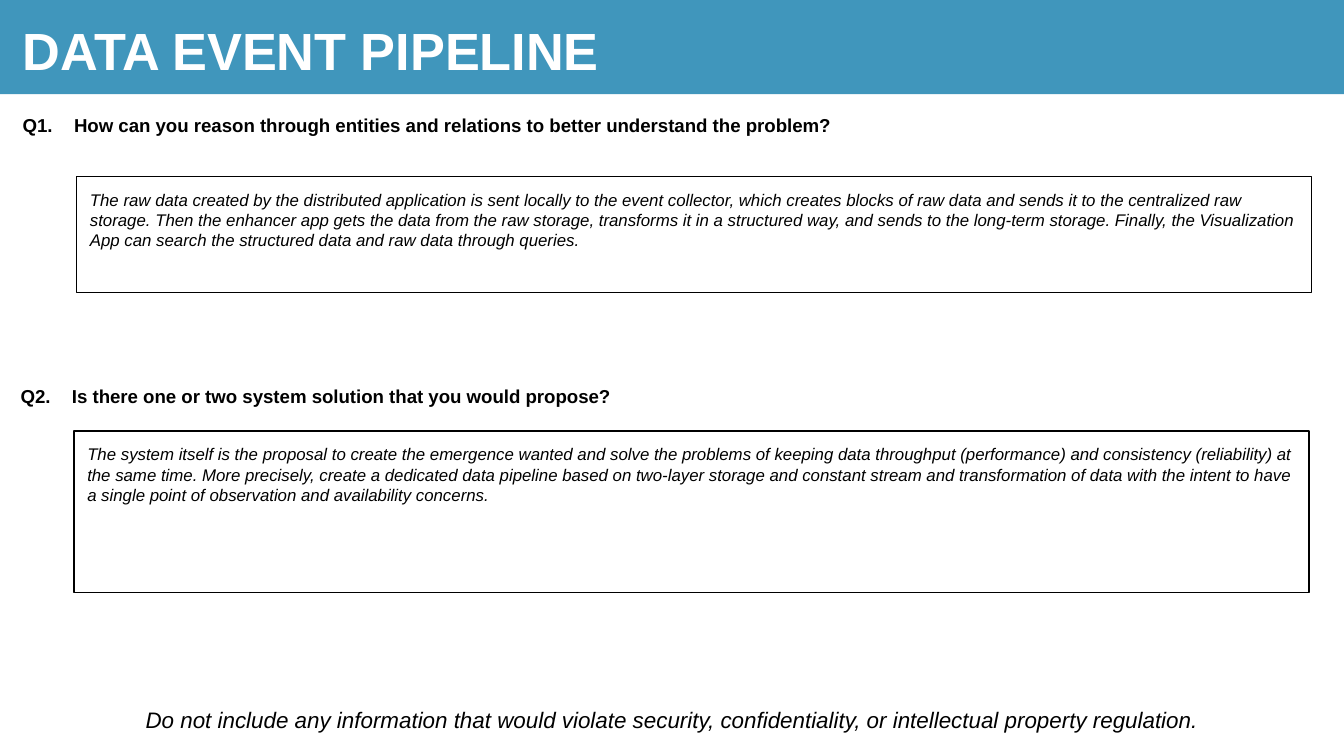
from dataclasses import dataclass

from lxml.etree import SubElement
from pptx import Presentation
from pptx.dml.color import RGBColor
from pptx.enum.shapes import MSO_SHAPE as Preset
from pptx.enum.text import MSO_ANCHOR as Anchor, PP_ALIGN as Align
from pptx.oxml.ns import qn
from pptx.shapes.autoshape import Shape
from pptx.slide import Slide
from pptx.text.text import TextFrame, _Paragraph as Paragraph
from pptx.util import Cm, Pt

BLACK = RGBColor(0x00, 0x00, 0x00)
WHITE = RGBColor(0xFF, 0xFF, 0xFF)
BLUE = RGBColor(0x01, 0x74, 0xA6)
FONT = "Arial"
INSET = Cm(0.25)
HANGING = Cm(0.97)


@dataclass(frozen=True)
class Area:
    """A rectangle in centimetres."""
    left: float
    top: float
    width: float
    height: float

    def lengths(self) -> tuple[Cm, Cm, Cm, Cm]:
        return Cm(self.left), Cm(self.top), Cm(self.width), Cm(self.height)


@dataclass(frozen=True)
class Question:
    number: str
    text: str
    answer: str
    area: Area
    answer_area: Area


QUESTIONS = (
    Question(
        "Q1.",
        "How can you reason through entities and relations to better understand the problem?",
        "The raw data created by the distributed application is sent locally to the event "
        "collector, which creates blocks of raw data and sends it to the centralized raw "
        "storage. Then the enhancer app gets the data from the raw storage, transforms it in "
        "a structured way, and sends to the long-term storage. Finally, the Visualization App "
        "can search the structured data and raw data through queries.",
        Area(0.18, 1.93, 24.51, 1.07),
        Area(1.45, 3.33, 23.34, 2.2),
    ),
    Question(
        "Q2.",
        "Is there one or two system solution that you would propose?",
        "The system itself is the proposal to create the emergence wanted and solve the "
        "problems of keeping data throughput (performance) and consistency (reliability) at "
        "the same time. More precisely, create a dedicated data pipeline based on two-layer "
        "storage and constant stream and transformation of data with the intent to have a "
        "single point of observation and availability concerns.",
        Area(0.14, 7.06, 24.51, 1.07),
        Area(1.4, 8.14, 23.34, 3.05),
    ),
)


def prepare_frame(frame: TextFrame, inset_y: Cm = INSET) -> Paragraph:
    """Set wrapping, insets and anchor, and return the first paragraph."""
    frame.word_wrap = True
    frame.vertical_anchor = Anchor.TOP
    frame.margin_left = frame.margin_right = INSET
    frame.margin_top = frame.margin_bottom = inset_y
    para = frame.paragraphs[0]
    para.alignment = Align.LEFT
    return para


def add_span(para: Paragraph, text: str, size: float, color: RGBColor = BLACK,
             bold: bool = False, italic: bool = False) -> None:
    span = para.add_run()
    span.text = text
    font = span.font
    font.name, font.size = FONT, Pt(size)
    font.bold, font.italic = bold, italic
    font.color.rgb = color


def add_text_box(page: Slide, area: Area, inset_y: Cm = INSET) -> Paragraph:
    return prepare_frame(page.shapes.add_textbox(*area.lengths()).text_frame, inset_y)


def add_rectangle(page: Slide, area: Area, fill: RGBColor) -> Shape:
    box = page.shapes.add_shape(Preset.RECTANGLE, *area.lengths())
    box.shadow.inherit = False
    box.fill.solid()
    box.fill.fore_color.rgb = fill
    return box


def set_hanging_indent(para: Paragraph) -> None:
    properties = para._p.get_or_add_pPr()
    properties.set("marL", str(HANGING))
    properties.set("indent", str(-HANGING))
    SubElement(properties, qn("a:buNone"))
    tabs = SubElement(properties, qn("a:tabLst"))
    SubElement(tabs, qn("a:tab"), pos="0", algn="l")


def add_question(page: Slide, question: Question) -> None:
    para = add_text_box(page, question.area)
    set_hanging_indent(para)
    add_span(para, f"{question.number} \t{question.text}", 10, bold=True)

    box = add_rectangle(page, question.answer_area, WHITE)
    box.line.color.rgb = BLACK
    box.line.width = Pt(0.75)
    add_span(prepare_frame(box.text_frame), question.answer, 9, italic=True)


def add_banner(page: Slide) -> None:
    banner = add_rectangle(page, Area(0, 0, 25.45, 1.78), BLUE)
    banner.line.fill.background()
    color = banner.fill._xPr.find(f".//{qn('a:srgbClr')}")
    SubElement(color, qn("a:alpha"), val="75000")


def add_notice(page: Slide) -> None:
    para = add_text_box(page, Area(1.14, 13.21, 23.14, 0.76), Cm(0.13))
    para.alignment = Align.CENTER
    add_span(para, "Do not include any information that would violate security, "
             "confidentiality, or intellectual property regulation.", 12, italic=True)


def add_title(page: Slide) -> None:
    para = add_text_box(page, Area(0.18, 0.1, 24.71, 1.6))
    add_span(para, "DATA EVENT PIPELINE", 28, WHITE, bold=True)


def main() -> None:
    deck = Presentation()
    deck.slide_width, deck.slide_height = Cm(25.4), Cm(14.28)
    page = deck.slides.add_slide(deck.slide_layouts[6])
    for question in QUESTIONS:
        add_question(page, question)
    add_banner(page)
    add_notice(page)
    add_title(page)
    deck.save("out.pptx")


if __name__ == "__main__":
    main()
